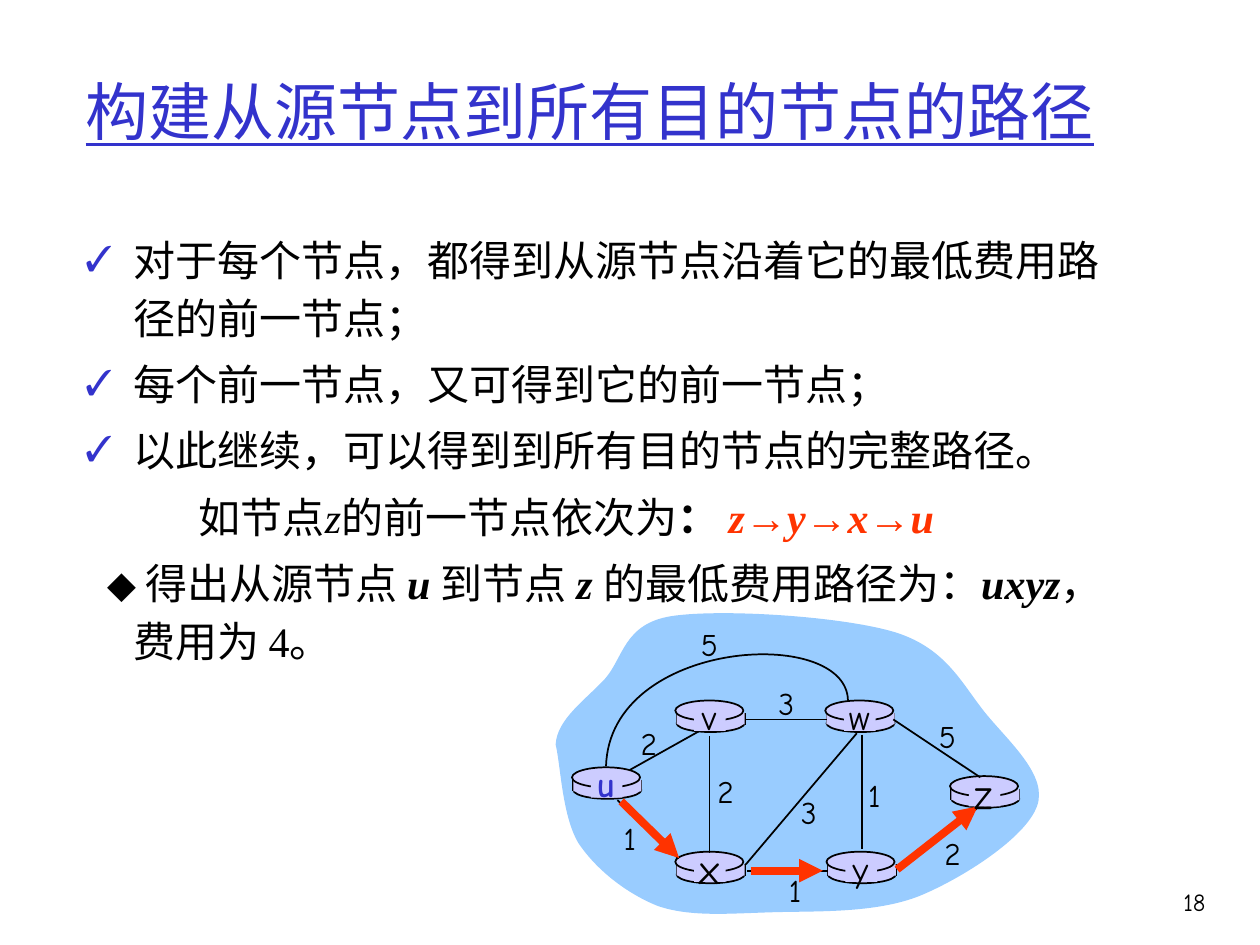
"""Builds the slide on constructing least-cost paths from a source node."""
from lxml.etree import SubElement
from pptx import Presentation
from pptx.dml.color import RGBColor
from pptx.enum.shapes import MSO_CONNECTOR, MSO_SHAPE
from pptx.enum.text import MSO_ANCHOR, PP_ALIGN
from pptx.oxml.ns import qn
from pptx.util import Inches, Pt

BLACK = RGBColor(0x00, 0x00, 0x00)
BLUE = RGBColor(0x33, 0x33, 0xCC)
RED = RGBColor(0xFF, 0x33, 0x00)
SKY = RGBColor(0x99, 0xCC, 0xFF)
LILAC = RGBColor(0xCC, 0xCC, 0xFF)
SERIF, HAND = "Times New Roman", "Comic Neue"

presentation = Presentation()
presentation.slide_width, presentation.slide_height = Inches(10), Inches(7.5)
CELL = presentation.slide_width / 100
slide = presentation.slides.add_slide(presentation.slide_layouts[5])
shapes = slide.shapes


def grid(*cells):
    """Turns grid columns and rows into slide lengths."""
    return [round(cell * CELL) for cell in cells]


def write(paragraph, text, color=BLACK, **formats):
    """Adds a run with the given colour and font values."""
    run = paragraph.add_run()
    run.text = text
    run.font.color.rgb = color
    for name, value in formats.items():
        setattr(run.font, name, value)


title = shapes.title
title.left, title.top, title.width, title.height = grid(5.8, 2.5, 85, 12.5)
title.text_frame.vertical_anchor = MSO_ANCHOR.MIDDLE
heading = title.text_frame.paragraphs[0]
heading.alignment = PP_ALIGN.LEFT
write(heading, "构建从源节点到所有目的节点的路径", BLUE, name=SERIF, size=Pt(36), underline=True)

plain, slanted = {}, {"italic": True}
strong = {"bold": True, "italic": True}
steps = [
    ("✓", 3.8, -3.8, [("对于每个节点，都得到从源节点沿着它的最低费用路径的前一节点；", plain)]),
    ("✓", 3.8, -3.8, [("每个前一节点，又可得到它的前一节点；", plain)]),
    ("✓", 3.8, -3.8, [("以此继续，可以得到到所有目的节点的完整路径。", plain)]),
    (None, 9, 0, [("如节点", plain), ("z", slanted), ("的前一节点依次为", plain),
                  ("： ", {"bold": True}), ("z→y→x→u", {"color": RED, **strong})]),
    (None, 3.8, -2.1, [("⬥ 得出从源节点 ", plain), ("u ", strong), ("到节点 ", plain),
                       ("z ", strong), ("的最低费用路径为：", plain),
                       ("uxyz", strong), ("，费用为 4。", plain)]),
]
body = shapes.add_textbox(*grid(5.8, 17.5, 85, 39.7)).text_frame
body.word_wrap = True
for index, (bullet, margin, indent, pieces) in enumerate(steps):
    step = body.add_paragraph() if index else body.paragraphs[0]
    step.line_spacing, step.space_before = 1.15, Pt(4.8)
    properties = step._p.get_or_add_pPr()
    for name, value in zip(("marL", "indent"), grid(margin, indent)):
        properties.set(name, str(value))
    if bullet:
        SubElement(SubElement(properties, qn("a:buClr")), qn("a:srgbClr"), val=str(BLUE))
        SubElement(properties, qn("a:buSzPct"), val="85000")
        SubElement(properties, qn("a:buFont"), typeface=SERIF)
        SubElement(properties, qn("a:buChar"), char=bullet)
    for text, formats in pieces:
        write(step, text, name=SERIF, size=Pt(24), **formats)

cloud = [
    (44.1, 59.1), (44.2, 57.1), (46.4, 55.6), (48, 53.9), (49.5, 52.2), (49.5, 49.5),
    (53.3, 48.9), (57.2, 48.3), (66.9, 48.9), (71.1, 50.2), (75.2, 51.5), (76.4, 54.4),
    (78.3, 56.7), (80.2, 59), (83.2, 61.6), (82.3, 64), (81.4, 66.5), (76.4, 69.7),
    (73, 71.1), (69.5, 72.5), (64.8, 72.3), (61.4, 72.4), (57.9, 72.5), (54.8, 72.8),
    (52.2, 71.9), (49.7, 70.9), (47.3, 69), (45.9, 66.9), (44.6, 64.7), (44.5, 60.7),
    (44.1, 59.1),
]
arc = [(67.3, 55.6), (67.2, 49.6), (48.4, 50.7), (48.1, 60.8)]
for (start, *handles), closed in [(cloud, True), (arc, False)]:
    builder = shapes.build_freeform(*grid(*start), scale=1.0)
    builder.add_line_segments([grid(*handle) for handle in handles], close=closed)
    curve = builder.convert_to_shape()
    segments = list(curve.element.iter(qn("a:lnTo")))
    for first, second, third in zip(segments[::3], segments[1::3], segments[2::3]):
        first.tag = qn("a:cubicBezTo")
        for segment in (second, third):
            first.append(segment[0])
            segment.getparent().remove(segment)
    curve.shadow.inherit = False
    if closed:
        curve.fill.solid()
        curve.fill.fore_color.rgb = SKY
        curve.line.fill.background()
    else:
        curve.fill.background()
        curve.line.color.rgb, curve.line.width = BLACK, Pt(1)

nodes = {"u": (45.4, 60.9), "x": (53.6, 67.6), "v": (53.6, 55.6),
         "w": (65.5, 55.6), "y": (65.6, 67.6), "z": (75.4, 61.6)}
bases, sides, tops, patches = [], [], [], []
for left, top in nodes.values():
    bases.append((MSO_SHAPE.OVAL, left + 0.1, top + 1.1, 5.4, 1.4, True))
    sides += [(x, top + 1, x, top + 1.9, BLACK, 1) for x in (left + 0.1, left + 5.5)]
    tops += [(MSO_SHAPE.RECTANGLE, left + 0.1, top + 1, 5.4, 0.9, False),
             (MSO_SHAPE.OVAL, left, top, 5.4, 1.6, True)]
    patches.append((MSO_SHAPE.RECTANGLE, left + 1.5, top + 0.2, 2.5, 2.2, False))

edges = [(50, 61.1, 55.9, 57.8), (68.4, 58.3, 68.4, 67.4), (56.3, 58.4, 56.3, 67.7),
         (59.2, 68.6, 68, 58.2), (71.1, 68.9, 77.5, 64.2), (65.7, 69.1, 59.3, 69.1),
         (53.8, 68.1, 49, 63.5), (65.6, 57.1, 59.2, 57.1), (77.8, 61.7, 70.9, 57.1)]
hops = [(49.3, 63.6, 53.9, 68.1), (59.6, 69.1, 65.3, 69.1), (71.2, 69, 77.6, 64)]
layers = [(bases, sides), (tops, [(*edge, BLACK, 1) for edge in edges]),
          (patches, [(*hop, RED, 4.5) for hop in hops])]
for pieces, strokes in layers:
    for preset, left, top, width, height, outlined in pieces:
        piece = shapes.add_shape(preset, *grid(left, top, width, height))
        piece.shadow.inherit = False
        piece.fill.solid()
        piece.fill.fore_color.rgb = LILAC
        if outlined:
            piece.line.color.rgb, piece.line.width = BLACK, Pt(1)
        else:
            piece.line.fill.background()
    for *ends, color, weight in strokes:
        stroke = shapes.add_connector(MSO_CONNECTOR.STRAIGHT, *grid(*ends))
        stroke.line.color.rgb, stroke.line.width = color, Pt(weight)
        drawing = stroke.element.spPr
        if color == RED:
            SubElement(drawing.find(qn("a:ln")), qn("a:tailEnd"), type="triangle")
        SubElement(drawing, qn("a:effectLst"))

costs = [("2", 51.5, 59), ("2", 57.6, 62.8), ("1", 50, 66.5), ("3", 64.2, 64.4),
         ("1", 63.1, 70.6), ("1", 69.4, 63.1), ("2", 75.6, 67.7), ("5", 75.2, 58.4),
         ("3", 62.4, 55.8), ("5", 56.3, 51.1)]
labels = [(cost, x, y, 18, BLACK) for cost, x, y in costs]
labels += [(node, left + 2.7, top + 1.3, 24 if node in "xz" else 20,
            BLUE if node == "u" else BLACK) for node, (left, top) in nodes.items()]
labels.append(("18", 94.8, 71.6, 14, BLACK))
for text, x, y, size, color in labels:
    frame = shapes.add_textbox(*grid(x - 2, y - 2.2, 4, 4.4)).text_frame
    frame.word_wrap = False
    frame.vertical_anchor = MSO_ANCHOR.MIDDLE
    frame.paragraphs[0].alignment = PP_ALIGN.CENTER
    write(frame.paragraphs[0], text, color, name=HAND, size=Pt(size), bold=text == "u")

presentation.save("out.pptx")
